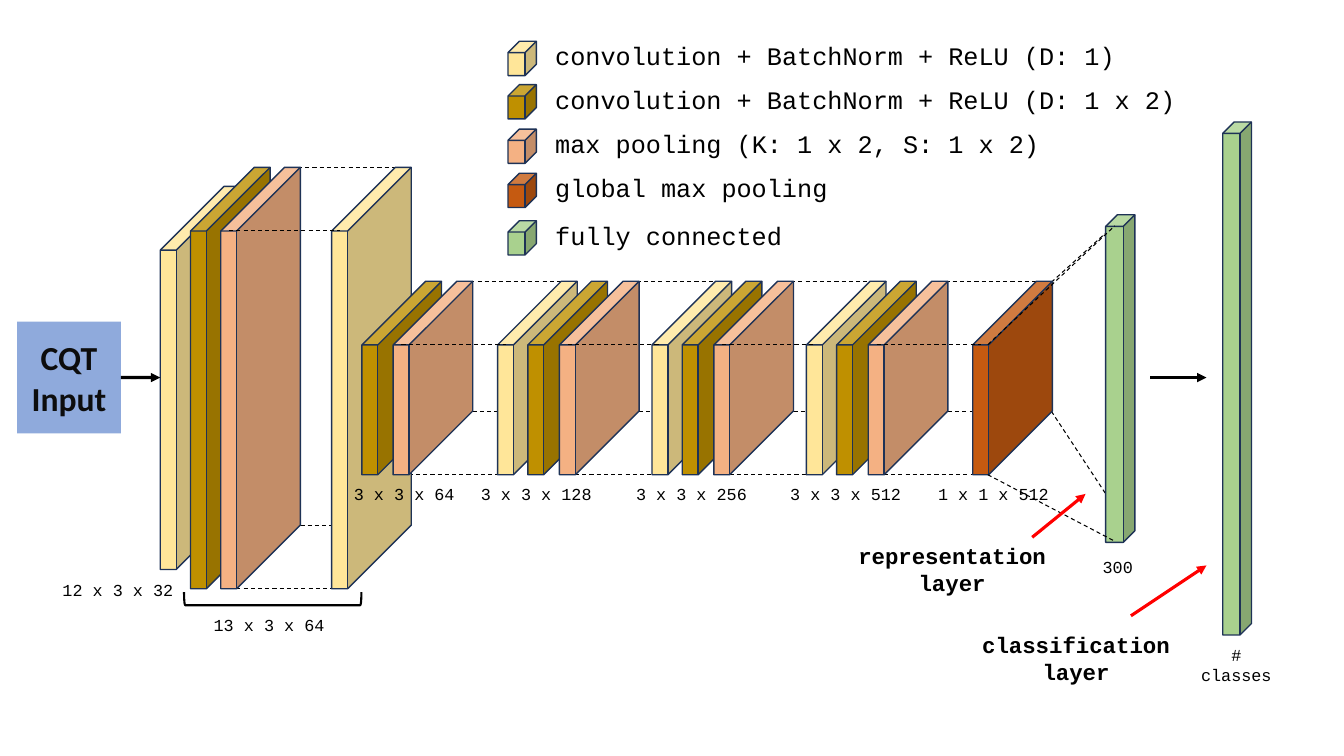
from lxml import etree
from pptx import Presentation
from pptx.dml.color import RGBColor
from pptx.enum.dml import MSO_LINE
from pptx.enum.shapes import MSO_CONNECTOR, MSO_SHAPE
from pptx.enum.text import MSO_ANCHOR, PP_ALIGN
from pptx.oxml.ns import qn
from pptx.util import Pt

DASH = MSO_LINE.DASH
STRAIGHT = MSO_CONNECTOR.STRAIGHT
RECT, CUBE, BRACKET = MSO_SHAPE.RECTANGLE, MSO_SHAPE.CUBE, MSO_SHAPE.RIGHT_BRACKET
MIDDLE = MSO_ANCHOR.MIDDLE
LEFT, CENTER = PP_ALIGN.LEFT, PP_ALIGN.CENTER

CREAM, GOLD, PEACH, RUST, GREEN = "FFE699", "BF9000", "F4B183", "C55A11", "A9D18E"
BLACK, RED, NAVY, BLUE, INK = "000000", "FF0000", "1E3256", "8FAADC", "0D0D0D"

LEGEND = [  # top, colour, text, text width
    (29.5, CREAM, "convolution + BatchNorm + ReLU (D: 1)", 435.6),
    (60.5, GOLD, "convolution + BatchNorm + ReLU (D: 1 x 2)", 483.8),
    (92.2, PEACH, "max pooling (K: 1 x 2, S: 1 x 2)", 361.4),
    (123.8, RUST, "global max pooling", 230.4),
    (157.7, GREEN, "fully connected", 230.4),
]
LABELS = [  # left, top, width, text
    (18, 410.4, 132.5, "12 x 3 x 32"),
    (126, 435.6, 132.5, "13 x 3 x 64"),
    (236.2, 342, 105.1, "3 x 3 x 64"),
    (330.5, 342, 105.1, "3 x 3 x 128"),
    (441.4, 342, 105.1, "3 x 3 x 256"),
    (551.5, 342, 105.1, "3 x 3 x 512"),
    (661, 342, 97.2, "1 x 1 x 512"),
    (775.4, 393.8, 46.1, "300"),
    (845.3, 457.2, 75.6, "# classes"),
]
NOTES = [(599.8, 383.8, "representation layer"), (688.3, 447.1, "classification layer")]

TALL = (119.5, 301)     # top and height of the early layers
SHORT = (200.9, 138.2)  # top and height of the later layers
DEEP = 56.9             # full width of a layer block
SLANT = 45.3            # offset of a block's back face
PITCH = 110.3           # distance between repeated stages
STAGES = [355.4 + PITCH * i for i in range(3)]
POOLS = [280.8] + [x + 44.2 for x in STAGES]
LINKS = [(157.7, 236.9, TALL)] + [
    (pool, block, SHORT) for pool, block in zip(POOLS, STAGES + [694.8])]


def color(code):
    return RGBColor.from_string(code)


class Board:
    def __init__(self, slide):
        self.shapes = slide.shapes
        self.font = {"name": "Courier New", "size": Pt(12), "bold": False}

    def label(self, shape, text, align=CENTER, ink=BLACK, **style):
        frame = shape.text_frame
        frame.word_wrap = True
        para = frame.paragraphs[0]
        para.alignment = align
        run = para.add_run()
        run.text = text
        for key, value in {**self.font, **style}.items():
            setattr(run.font, key, value)
        run.font.color.rgb = color(ink)

    def text(self, x, y, w, h, text, **style):
        self.label(self.shapes.add_textbox(Pt(x), Pt(y), Pt(w), Pt(h)), text, **style)

    def shape(self, kind, x, y, w, h, fill=None, line=None, width=1):
        item = self.shapes.add_shape(kind, Pt(x), Pt(y), Pt(w), Pt(h))
        item.shadow.inherit = False
        if fill:
            item.fill.solid()
            item.fill.fore_color.rgb = color(fill)
        else:
            item.fill.background()
        if line:
            item.line.color.rgb = color(line)
            item.line.width = Pt(width)
        else:
            item.line.fill.background()
        return item

    def cube(self, x, y, w, h, fill, depth=0.4):
        """Depth is the share of the shorter side taken by the slant."""
        item = self.shape(CUBE, x, y, w, h, fill, NAVY)
        item.adjustments[0] = depth

    def layer(self, x, size, fill):
        self.cube(x, size[0], DEEP, size[1], fill, 0.8)

    def line(self, x1, y1, x2, y2, ink=BLACK, width=0.75):
        item = self.shapes.add_connector(STRAIGHT, Pt(x1), Pt(y1), Pt(x2), Pt(y2))
        item.line.color.rgb = color(ink)
        item.line.width = Pt(width)
        etree.SubElement(item.element.spPr, qn("a:effectLst"))
        return item

    def dash(self, *ends):
        self.line(*ends).line.dash_style = DASH

    def arrow(self, *ends, ink=BLACK):
        item = self.line(*ends, ink=ink, width=2.25)
        stroke = item.element.spPr.find(qn("a:ln"))
        etree.SubElement(stroke, qn("a:tailEnd"), type="triangle")
        return item


def main():
    deck = Presentation()
    deck.slide_width, deck.slide_height = Pt(960), Pt(540)
    board = Board(deck.slides.add_slide(deck.slide_layouts[6]))

    # Guides behind the blocks
    board.dash(751, 293.8, 805, 375.8)
    board.dash(751, 201.6, 804.2, 153.4)
    for pool, block, (top, high) in LINKS:
        base = top + high
        board.dash(pool + 50, top, block + 50, top)
        board.dash(pool + 6, base, block + 6, base)
        board.dash(pool + DEEP, base - SLANT, block, base - SLANT)

    # Network blocks
    source = board.shape(RECT, 12.2, 229.7, 74.2, 79.9, BLUE)
    source.text_frame.vertical_anchor = MIDDLE
    board.label(source, "CQT Input", ink=INK, name="Calibri", size=Pt(24), bold=True)
    board.layer(114.5, (133.2, 273.6), CREAM)
    for x, fill in (136.1, GOLD), (157.7, PEACH), (236.9, CREAM):
        board.layer(x, TALL, fill)
    board.layer(258.5, SHORT, GOLD)
    board.layer(POOLS[0], SHORT, PEACH)
    for x in STAGES:
        for step, fill in (0, CREAM), (21.6, GOLD), (44.2, PEACH):
            board.layer(x + step, SHORT, fill)
    board.layer(694.8, SHORT, RUST)
    board.cube(789.8, 153.4, 20.9, 234, GREEN)
    board.cube(873.4, 87.1, 20.5, 366.5, GREEN)

    # Legend and labels
    for y, fill, text, wide in LEGEND:
        board.cube(362.9, y, 20.2, 24.5, fill)
        board.text(389.5, y - 4, wide, 28.8, text, align=LEFT, size=Pt(18))
    for x, y, wide, text in LABELS:
        board.text(x, y, wide, 21.6, text)
    for x, y, text in NOTES:
        board.text(x, y, 160.6, 46.1, text, size=Pt(16), bold=True)
    bracket = board.shape(BRACKET, 190.1, 364.3, 9.4, 126.7, line=BLACK, width=1.5)
    bracket.rotation = 90

    # Guides and arrows in front
    for pool, block, (top, high) in LINKS:
        board.dash(pool + 6, top + SLANT, block + 6, top + SLANT)
    board.dash(705.6, 246.2, 796.3, 161.3)
    board.dash(705.6, 339.1, 796.3, 386.6)
    board.arrow(807.8, 439.9, 861.8, 403.9, ink=RED)
    board.arrow(737.3, 383.8, 775.4, 352.8, ink=RED)
    board.arrow(821.5, 269.7, 861.8, 269.7)
    board.arrow(86.4, 269.7, 114.5, 269.7).begin_connect(source, 3)

    deck.save("out.pptx")


if __name__ == "__main__":
    main()
